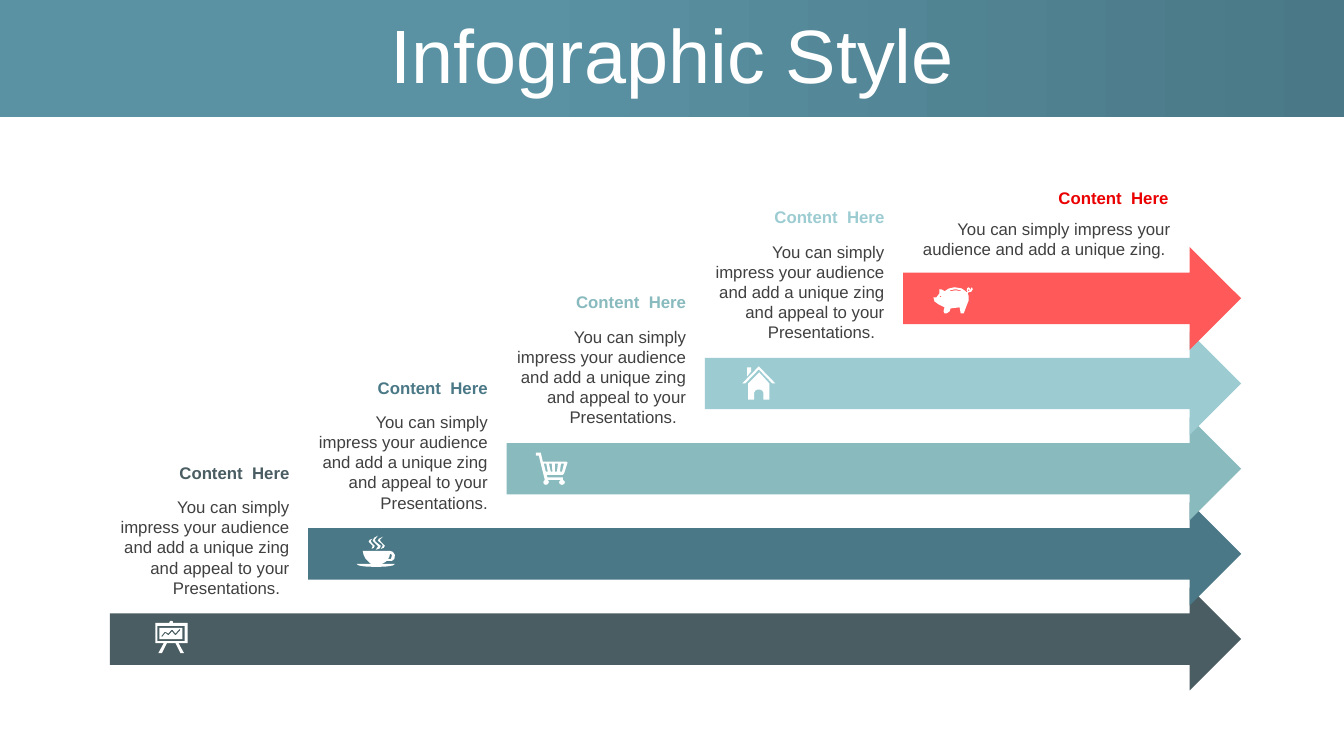
import pptx
import pptx.util
import pptx.dml.color
import pptx.enum.dml
import pptx.enum.shapes
import pptx.enum.text

Inches = pptx.util.Inches
ALIGN = pptx.enum.text.PP_ALIGN
FIT = pptx.enum.text.MSO_AUTO_SIZE
PRESET = pptx.enum.shapes.MSO_SHAPE

ARROW_TIP = 12.31
ARROW_HEIGHT = 1.02
FIRST_LEFT, FIRST_TOP = 1.09, 5.83
STEP_RIGHT, STEP_UP = 1.967, 0.845
ICON_UNITS_PER_INCH = 1000

HEADING = "Content  Here"
PITCH = "You can simply impress your audience and add a unique zing"
LONG_PITCH = PITCH + " and appeal to your Presentations."

EASEL = [
    [(14, 2), (14, 1), (15, 0), (17, 0), (17.5, 1), (17.5, 2), (32, 2), (32, 22),
     (23, 22), (28.5, 32), (25, 32), (20, 22), (11.5, 22), (6.5, 32), (3, 32),
     (8.5, 22), (0, 22), (0, 2)],
    [(2, 5), (29, 5), (29, 20), (2, 20)],
    [(4, 7), (27, 7), (27, 18), (4, 18)],
    [(24, 8), (20, 12.5), (17, 8.8), (16, 8.8), (13, 12.5), (10, 10.8), (9.3, 10.8),
     (6, 15), (6.7, 16), (10, 12), (12.5, 14), (13.4, 14), (16.5, 10.5), (19.5, 14),
     (20.5, 14), (25, 9)],
]
CUP = [
    [(6, 15), (33, 15), (36, 16), (38, 19), (37.5, 23), (35, 25), (30, 25), (27, 27),
     (24, 28), (38, 28), (36, 29.5), (30, 30.5), (20, 31), (8, 30.5), (2, 29.5),
     (0, 28), (15, 28), (13, 27), (9, 23), (7, 19)],
    [(33, 18), (32.5, 21), (31, 23), (34, 23), (35, 20), (34.5, 18.3)],
    [(16, 3), (14, 5), (15, 7), (18, 10), (17, 12), (15, 13), (16, 10), (12, 6), (13, 4)],
    [(21, 0), (18, 4), (19, 6), (24, 10), (23, 12.5), (19, 14), (21, 11), (21, 10),
     (16, 5), (17.5, 2)],
    [(26, 1), (23, 4), (24, 6), (28, 10), (27, 12), (24, 13), (26, 10), (25, 8),
     (21, 5), (22, 3)],
]
CART = [
    [(4, 0), (5, 0), (7, 9), (30.5, 9), (31.5, 10), (28, 21), (27, 22), (11, 22),
     (11.5, 24.5), (27, 24.5), (27, 27), (29, 29), (28.2, 31.2), (26, 32),
     (23.8, 31.2), (23, 29), (25, 27), (12, 27), (13, 29), (12.2, 31.2), (10, 32),
     (8, 31.2), (7.5, 29), (9, 27), (3, 3), (0, 3), (0, 0)],
    [(25, 11), (24, 19), (26, 19), (28, 11)],
    [(19, 11), (19, 19), (21, 19), (22, 11)],
    [(13, 11), (15, 19), (16.5, 19), (16, 11)],
    [(8, 11), (10, 19), (12, 19), (10.5, 11)],
]
HOUSE = [
    [(17, 6), (27, 17), (27, 33), (21, 33), (21, 26), (20, 24), (18, 23), (15, 23),
     (13, 24), (12, 26), (12, 33), (6, 33), (6, 17)],
    [(5, 1), (9, 1), (9, 5), (5, 10)],
    [(16.5, 0), (33, 17), (30, 17), (16.5, 3), (3, 17), (0, 17)],
]
PIGGY_BANK = [
    [(21, 0), (28, 1.2), (32, 4), (33, 5), (34, 5), (33, 3), (33.5, 1), (35, 0),
     (36.5, 1.5), (36.5, 3), (38, 0), (39, 2), (37.5, 4.5), (35, 5), (34, 6), (35, 9),
     (35, 13), (33, 18), (30, 26), (27, 26), (26, 20), (17, 21), (16, 24), (13, 26),
     (11, 26), (10, 24), (11, 20), (5, 17), (1, 14), (0, 10), (3, 10), (6, 6), (6, 2),
     (8.5, 2.3), (11, 4), (15, 1.3)],
    [(6, 9), (7, 8.4), (8, 9), (7, 10)],
    [(22, 2), (16, 3), (17, 4), (22, 3), (27, 4), (27, 3)],
    [(35, 2), (34, 3), (35, 4), (36, 3)],
]

LONG_LAYOUT = {"heading": (-0.01, -1.29, 1.89, 0.3), "pitch": (-0.01, -0.95, 1.89, 1.11)}
TOP_LAYOUT = {"heading": (-0.09, -0.64, 2.82, 0.3), "pitch": (-0.03, -0.33, 2.78, 0.5)}

STEPS = [
    ("4A5D62", "4A5D62", LONG_PITCH + "  ", LONG_LAYOUT, EASEL, (0.45, 0.33)),
    ("4A7886", "4A7886", LONG_PITCH, LONG_LAYOUT, CUP, (0.48, 0.33)),
    ("88BABE", "88BABE", LONG_PITCH + "  ", LONG_LAYOUT, CART, (0.29, 0.35)),
    ("9CCCD2", "9CCCD2", LONG_PITCH + "  ", LONG_LAYOUT, HOUSE, (0.37, 0.34)),
    ("FF5959", "EA0000", PITCH + ". ", TOP_LAYOUT, PIGGY_BANK, (0.3, 0.4)),
]


def rgb(value):
    return pptx.dml.color.RGBColor.from_string(value)


def apply(target, values):
    for attribute, value in values.items():
        setattr(target, attribute, value)


def paint(part, color):
    part.shadow.inherit = False
    part.fill.solid()
    part.fill.fore_color.rgb = rgb(color)
    part.line.fill.background()


def write(part, text, color, frame_format, paragraph_format, font_format):
    apply(part.text_frame, frame_format)
    paragraph = part.text_frame.paragraphs[0]
    apply(paragraph, paragraph_format)
    run = paragraph.add_run()
    run.text = text
    apply(run.font, {"name": "Arial", **font_format})
    run.font.color.rgb = rgb(color)


def add_header(slide, left, top, width, height):
    banner = slide.shapes.add_shape(
        PRESET.RECTANGLE, *map(Inches, (left, top, width, height)))
    banner.shadow.inherit = False
    banner.line.fill.background()
    banner.fill.gradient()
    banner.fill.gradient_angle = 0
    for stop, position, color in zip(
            banner.fill.gradient_stops, (0.38, 1), ("5A92A3", "4A7886")):
        stop.position = position
        stop.color.rgb = rgb(color)
    title = slide.shapes.title
    title.element.addprevious(banner.element)
    apply(title, {"left": Inches(left + 0.34), "top": Inches(top + 0.19),
                  "width": Inches(width - 0.67), "height": Inches(0.79)})
    write(title, "Infographic Style", "FFFFFF",
          {"word_wrap": True, "auto_size": FIT.NONE,
           "vertical_anchor": pptx.enum.text.MSO_ANCHOR.MIDDLE},
          {"alignment": ALIGN.CENTER, "line_spacing": 0.9},
          {"size": pptx.util.Pt(54)})


def add_arrow(slide, left, top, width, height, color):
    arrow = slide.shapes.add_shape(
        PRESET.RIGHT_ARROW, *map(Inches, (left, top, width, height)))
    paint(arrow, color)


def add_caption(slide, left, top, layout, heading_color, pitch):
    for part, text, color in (
            ("pitch", pitch, "404040"), ("heading", HEADING, heading_color)):
        dx, dy, width, height = layout[part]
        caption = slide.shapes.add_textbox(
            *map(Inches, (left + dx, top + dy, width, height)))
        write(caption, text, color,
              {"word_wrap": True, "auto_size": FIT.SHAPE_TO_FIT_TEXT},
              {"alignment": ALIGN.RIGHT},
              {"size": pptx.util.Pt(12), "bold": part == "heading"})


def add_icon(slide, left, top, contours):
    outlines = [[(round(x * 10), round(y * 10)) for x, y in contour]
                for contour in contours]
    builder = slide.shapes.build_freeform(
        *outlines[0][0], scale=Inches(1) / ICON_UNITS_PER_INCH)
    for index, outline in enumerate(outlines):
        if index:
            builder.move_to(*outline[0])
        builder.add_line_segments(outline[1:], close=True)
    paint(builder.convert_to_shape(Inches(left), Inches(top)), "FFFFFF")


def add_staircase(slide, left, top):
    corners = [(left + STEP_RIGHT * i, top - STEP_UP * i) for i in range(len(STEPS))]
    for (x, y), (color, *_) in zip(corners, STEPS):
        add_arrow(slide, x, y, ARROW_TIP - x, ARROW_HEIGHT, color)
    for (x, y), (_, heading_color, pitch, layout, icon, (dx, dy)) in zip(corners, STEPS):
        add_caption(slide, x, y, layout, heading_color, pitch)
        add_icon(slide, x + dx, y + dy, icon)


def main():
    deck = pptx.Presentation()
    apply(deck, {"slide_width": Inches(13.33), "slide_height": Inches(7.5)})
    slide = deck.slides.add_slide(deck.slide_layouts[5])
    add_header(slide, 0, 0, 13.33, 1.16)
    add_staircase(slide, FIRST_LEFT, FIRST_TOP)
    deck.save("out.pptx")


if __name__ == "__main__":
    main()
